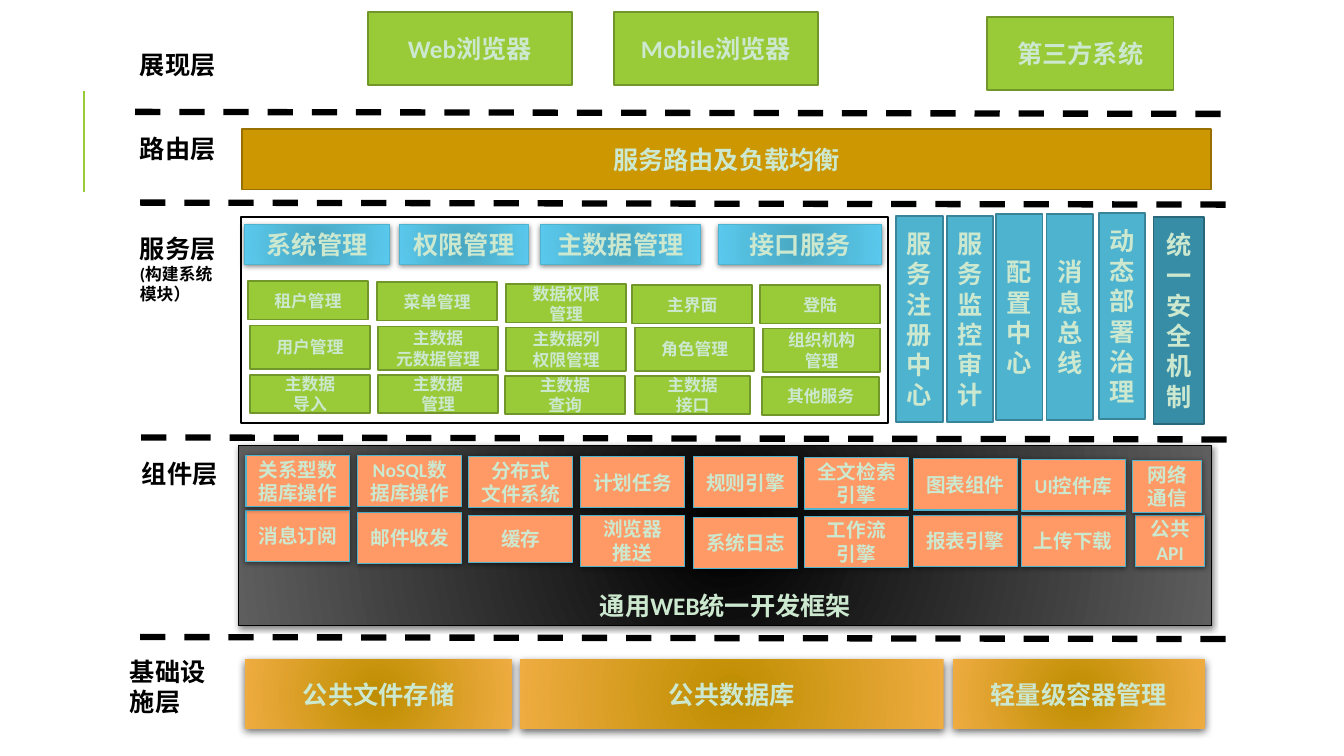
import pptx
import pptx.util
import pptx.dml.color
import pptx.enum.dml
import pptx.enum.shapes
import pptx.enum.text
import pptx.oxml.ns
import lxml.etree

Inches, Pt, qn = pptx.util.Inches, pptx.util.Pt, pptx.oxml.ns.qn
ANCHOR = pptx.enum.text.MSO_ANCHOR
ALIGN = pptx.enum.text.PP_ALIGN

BLACK, WHITE, PALE = "000000", "FFFFFF", "CCE8CF"
GREEN, GREEN_EDGE = "99CB38", "719629"
BLUE, BLUE_EDGE = "4EB3CF", "3A8499"
# Shadow: opacity %, blur pt, distance pt
SOFT, DEEP = (50, 4, 1), (60, 6, 2)


def rgb(value):
    return pptx.dml.color.RGBColor.from_string(value)


class Canvas:
    font = "Calibri"

    def __init__(self, slide):
        self.slide = slide

    def format(self, tf, size, color, align):
        for p in tf.paragraphs:
            p.alignment = align
            for r in p.runs:
                r.font.name, r.font.size, r.font.bold = self.font, Pt(size), True
                r.font.color.rgb = rgb(color)

    def box(self, x, y, w, h, text="", fill=GREEN, line=GREEN_EDGE, line_width=1.25,
            size=18, shadow=None, anchor=ANCHOR.MIDDLE):
        sp = self.slide.shapes.add_shape(pptx.enum.shapes.MSO_SHAPE.RECTANGLE,
                                         Inches(x), Inches(y), Inches(w), Inches(h))
        if isinstance(fill, tuple):
            self.radial(sp, fill)
        else:
            sp.fill.solid()
            sp.fill.fore_color.rgb = rgb(fill)
        if line:
            sp.line.color.rgb = rgb(line)
            sp.line.width = Pt(line_width)
        else:
            sp.line.fill.background()
        sp.shadow.inherit = False
        if shadow:
            self.drop_shadow(sp, *shadow)
        if text:
            tf = sp.text_frame
            tf.word_wrap, tf.vertical_anchor = True, anchor
            tf.text = text
            self.format(tf, size, PALE, ALIGN.CENTER)

    def radial(self, sp, colors):
        sp.fill.gradient()
        for stop, color, position in zip(sp.fill.gradient_stops, colors, (0, 1)):
            stop.color.rgb, stop.position = rgb(color), position
        grad = sp._element.spPr.find(qn("a:gradFill"))
        grad.remove(grad.find(qn("a:lin")))
        circle = lxml.etree.SubElement(grad, qn("a:path"), path="circle")
        lxml.etree.SubElement(circle, qn("a:fillToRect"),
                              {side: "100000" for side in "ltrb"})

    def drop_shadow(self, sp, opacity, blur, distance):
        effects = sp._element.spPr.find(qn("a:effectLst"))
        outer = lxml.etree.SubElement(
            effects, qn("a:outerShdw"), blurRad=str(Pt(blur)), dist=str(Pt(distance)),
            dir="5400000", algn="ctr", rotWithShape="0")
        color = lxml.etree.SubElement(outer, qn("a:srgbClr"), val=BLACK)
        lxml.etree.SubElement(color, qn("a:alpha"), val=str(opacity * 1000))

    def label(self, x, y, h, text, note=None):
        tf = self.slide.shapes.add_textbox(Inches(x), Inches(y), Inches(1.07),
                                           Inches(h)).text_frame
        tf.word_wrap = True
        tf.text = text
        if note:
            tf.paragraphs[0].add_run().text = note
        self.format(tf, 18, BLACK, ALIGN.LEFT)
        if note:
            tf.paragraphs[0].runs[1].font.size = Pt(12)

    def line(self, x1, y1, x2, y2, color, width, dashed=False):
        cn = self.slide.shapes.add_connector(pptx.enum.shapes.MSO_CONNECTOR.STRAIGHT,
                                             Inches(x1), Inches(y1), Inches(x2), Inches(y2))
        cn.line.color.rgb, cn.line.width = rgb(color), Pt(width)
        if dashed:
            cn.line.dash_style = pptx.enum.dml.MSO_LINE.DASH
        lxml.etree.SubElement(cn._element.spPr, qn("a:effectLst"))


prs = pptx.Presentation()
prs.slide_width, prs.slide_height = Inches(13.33), Inches(7.5)
s = prs.slides.add_slide(prs.slide_layouts[6])
s.background.fill.solid()
s.background.fill.fore_color.rgb = rgb(WHITE)
c = Canvas(s)

# Accent line, layer separators and layer names
c.line(0.83, 1.9, 0.83, 0.9, GREEN, 1.5)
for x, y in [(1.34, 1.11), (1.39, 2.01), (1.4, 4.34), (1.39, 6.32)]:
    c.line(x, y, x + 10.78, y + 0.02, BLACK, 4.5, dashed=True)
c.label(1.29, 0.44, 0.4, "展现层")
c.label(1.29, 1.27, 0.4, "路由层")
c.label(1.29, 2.27, 0.81, "服务层", "(构建系统模块）")
c.label(1.31, 4.5, 0.4, "组件层")
c.label(1.19, 6.46, 0.71, "基础设施层")

# Presentation layer
for x, y, w, text in [(3.65, 0.12, 2.02, "Web浏览器"), (6.09, 0.12, 2.02, "Mobile浏览器"),
                      (9.79, 0.17, 1.85, "第三方系统")]:
    c.box(x, y, w, 0.72, text)

# Routing layer
c.box(2.4, 1.28, 9.61, 0.6, "服务路由及负载均衡", "CC9700", "977000")

# Service layer: panel, headings and modules
c.box(2.39, 2.15, 6.42, 2.05, fill=WHITE, line=BLACK)
for x, w, text in [(2.43, 1.43, "系统管理"), (3.96, 1.28, "权限管理"),
                   (5.36, 1.59, "主数据管理"), (7.13, 1.61, "接口服务")]:
    c.box(x, 2.23, w, 0.39, text, ("49A7C1", "5AC9ED"), BLUE, 0.75, shadow=SOFT)

modules = [
    (0.38, [(2.46, 2.79, 1.19, "租户管理"), (3.74, 2.8, 1.19, "菜单管理"),
            (5.02, 2.82, 1.19, "数据权限\n管理"), (6.27, 2.83, 1.19, "主界面"),
            (7.54, 2.83, 1.19, "登陆")]),
    (0.43, [(2.48, 3.23, 1.19, "用户管理"), (3.75, 3.24, 1.19, "主数据\n元数据管理"),
            (5.02, 3.25, 1.19, "主数据列\n权限管理"), (6.3, 3.25, 1.18, "角色管理"),
            (7.57, 3.26, 1.16, "组织机构\n管理")]),
    (0.38, [(2.48, 3.72, 1.19, "主数据\n导入"), (3.75, 3.72, 1.19, "主数据\n管理"),
            (5.01, 3.73, 1.19, "主数据\n查询"), (6.3, 3.73, 1.14, "主数据\n接口"),
            (7.56, 3.74, 1.16, "其他服务")]),
]
for h, row in modules:
    for x, y, w, text in row:
        c.box(x, y, w, h, text, size=12)

# Service layer: vertical pillars
for x, y, text in [(8.89, 2.14, "服务注册中心"), (9.39, 2.14, "服务监控审计"),
                   (9.88, 2.12, "配置中心"), (10.38, 2.12, "消息总线"),
                   (10.9, 2.11, "动态部署治理")]:
    c.box(x, y, 0.46, 2.05, text, BLUE, BLUE_EDGE)
c.box(11.44, 2.15, 0.5, 2.06, "统一安全机制", "378DA6", "29687B")

# Component layer: framework and its components
c.box(2.37, 4.42, 9.65, 1.79, "通用WEB统一开发框架", (BLACK, "5E5E5E"), BLACK, 0.75,
      shadow=SOFT, anchor=ANCHOR.BOTTOM)
components = [
    (2.44, 5.06, "消息订阅"), (2.44, 4.52, "关系型数据库操作"),
    (3.55, 5.08, "邮件收发"), (3.55, 4.52, "NoSQL数据库操作"),
    (4.65, 5.11, "缓存"), (4.65, 4.53, "分布式\n文件系统"),
    (5.76, 5.11, "浏览器\n推送"), (5.76, 4.53, "计划任务"),
    (6.88, 5.13, "系统日志"), (6.88, 4.53, "规则引擎"),
    (7.98, 5.12, "工作流\n引擎"), (7.98, 4.54, "全文检索引擎"),
    (9.06, 5.11, "报表引擎"), (9.06, 4.55, "图表组件"),
    (10.13, 5.11, "上传下载"), (10.13, 4.56, "UI控件库"),
    (11.26, 5.11, "公共API"), (11.23, 4.57, "网络通信"),
]
for x, y, text in components:
    w = 0.69 if x > 11 else 1.03
    h = 0.47 if text == "缓存" else 0.51
    c.box(x, y, w, h, text, "FF9966", BLUE, 0.75, 14, SOFT)

# Infrastructure layer
for x, w, text in [(2.43, 2.65, "公共文件存储"), (5.16, 4.2, "公共数据库"),
                   (9.45, 2.5, "轻量级容器管理")]:
    c.box(x, 6.54, w, 0.69, text, ("BE8D00", "EFAC41"), None, shadow=DEEP)

prs.save("out.pptx")
